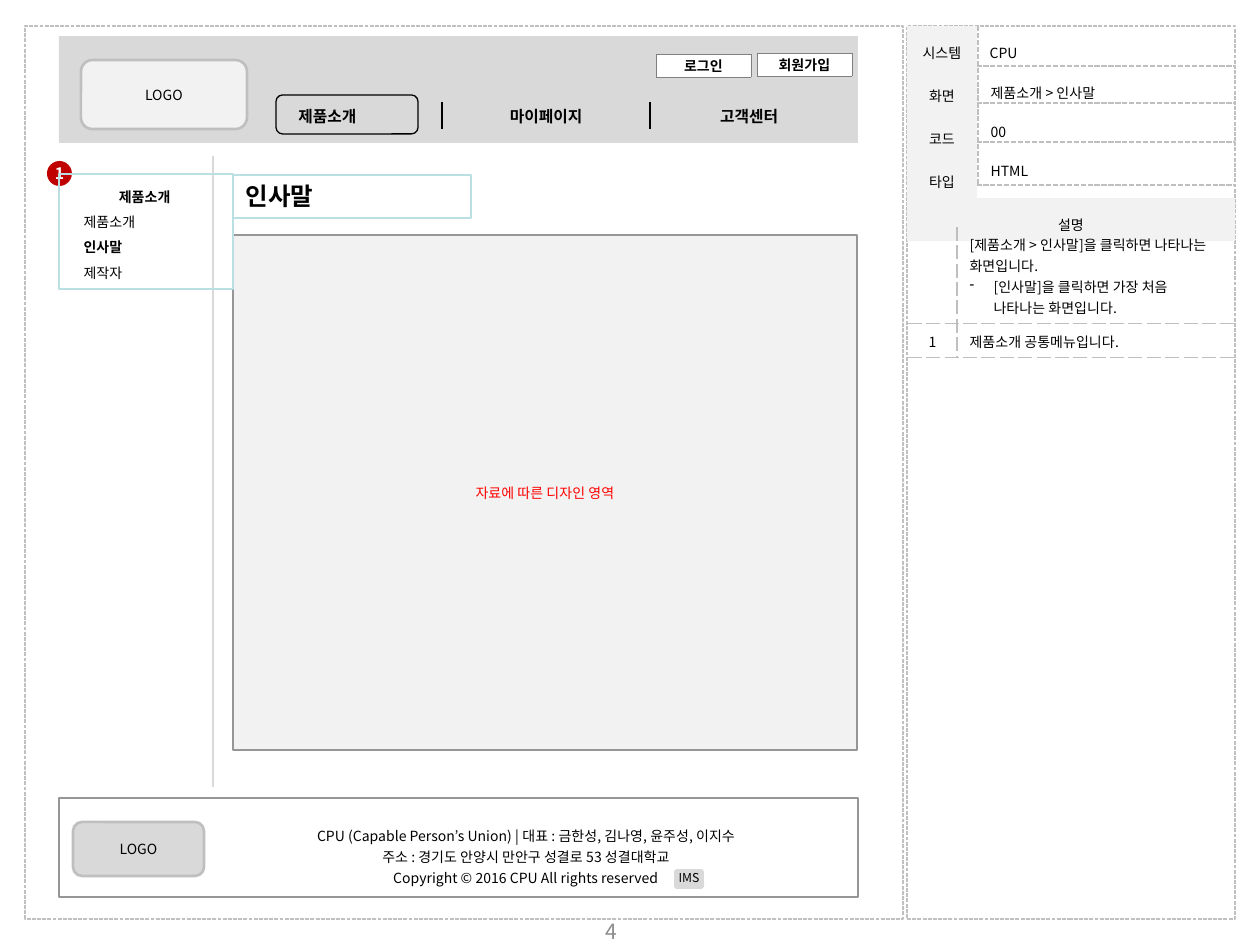
from dataclasses import dataclass
from lxml import etree
from pptx import Presentation
from pptx import util as u
from pptx.dml.color import RGBColor
from pptx.enum import dml, shapes, text
from pptx.oxml import ns

PX = 914400 / 126
PLAIN_TABLE = "{2D5ABB26-0587-4C30-8999-92F81FD0307C}"
CENTER, LEFT = text.PP_ALIGN.CENTER, text.PP_ALIGN.LEFT
TOP, MIDDLE = text.MSO_ANCHOR.TOP, text.MSO_ANCHOR.MIDDLE
DASH = dml.MSO_LINE.SQUARE_DOT
RECT, ROUND = shapes.MSO_SHAPE.RECTANGLE, shapes.MSO_SHAPE.ROUNDED_RECTANGLE


@dataclass(frozen=True)
class Theme:
    font: str = "Noto Sans CJK KR"
    ink: str = "000000"
    white: str = "FFFFFF"
    bar: str = "D9D9D9"
    pale: str = "F2F2F2"
    rule: str = "BFBFBF"
    frame: str = "C0C0C0"
    outline: str = "969696"
    button: str = "808080"
    accent: str = "BBE0E3"
    alert: str = "FF0000"
    badge: str = "C00000"
    page: str = "8C8C8C"
    tiny: int = 7
    small: int = 8
    nav: int = 9
    number: int = 12
    title: int = 14


T = Theme()


def px(n):
    return u.Emu(round(n * PX))


def box(*lengths):
    return [px(n) for n in lengths]


def sub(parent, tag, **attrs):
    return etree.SubElement(parent, ns.qn(tag), attrs)


# Text
def style(p, size=T.small, color=T.ink, bold=False, align=LEFT, spacing=None, indent=0, bullet=None):
    pPr = p._p.get_or_add_pPr()
    if indent:
        pPr.set("marL", str(px(indent)))
    pPr.set("indent", str(-px(indent) if bullet else 0))
    p.alignment = align
    p.space_before = u.Pt(0)
    if spacing:
        p.line_spacing = spacing
    if bullet:
        sub(pPr, "a:buChar", char=bullet)
    else:
        sub(pPr, "a:buNone")
    f = p.font
    f.name, f.size, f.bold = T.font, u.Pt(size), bold
    f.color.rgb = RGBColor.from_string(color)
    sub(pPr.find(ns.qn("a:defRPr")), "a:ea", typeface=T.font)


def write(tf, lines, **common):
    """Each line is a string, or a string with its own paragraph options."""
    for i, line in enumerate([lines] if isinstance(lines, str) else lines):
        words, own = (line, {}) if isinstance(line, str) else line
        p = tf.paragraphs[0] if i == 0 else tf.add_paragraph()
        p.text = words
        style(p, **{**common, **own})


# Shapes and lines
def paint(sp, fill=None, line=None, width=0.75, dash=None):
    if fill:
        sp.fill.solid()
        sp.fill.fore_color.rgb = RGBColor.from_string(fill)
    else:
        sp.fill.background()
    if line:
        sp.line.color.rgb = RGBColor.from_string(line)
        sp.line.width = u.Pt(width)
        if dash:
            sp.line.dash_style = dash
    else:
        sp.line.fill.background()


def shape(s, kind, at, words=None, inset=None, anchor=MIDDLE, look=None, **paints):
    sp = s.shapes.add_shape(kind, *box(*at))
    sp.shadow.inherit = False
    paint(sp, **paints)
    if words:
        tf = sp.text_frame
        tf.word_wrap, tf.vertical_anchor = True, anchor
        if inset is not None:
            tf.margin_left = tf.margin_right = tf.margin_top = tf.margin_bottom = px(inset)
        write(tf, words, **{"align": CENTER, **(look or {})})


def logo(s, at, fill):
    shape(s, ROUND, at, "LOGO", fill=fill, line=T.rule, width=1.5)


def rule(s, ends, color=T.rule, width=1, dash=DASH):
    ln = s.shapes.add_connector(shapes.MSO_CONNECTOR.STRAIGHT, *box(*ends))
    ln.line.color.rgb = RGBColor.from_string(color)
    ln.line.width = u.Pt(width)
    if dash:
        ln.line.dash_style = dash
    sub(ln._element.spPr, "a:effectLst")


def textbox(s, at, lines, **look):
    tf = s.shapes.add_textbox(*box(*at)).text_frame
    tf.word_wrap, tf.vertical_anchor = True, MIDDLE
    write(tf, lines, align=CENTER, **look)


def placeholder(s, sp, at, lines, **look):
    sp.left, sp.top, sp.width, sp.height = box(*at)
    paint(sp, line=T.accent)
    tf = sp.text_frame
    tf.word_wrap, tf.auto_size, tf.vertical_anchor = True, text.MSO_AUTO_SIZE.NONE, TOP
    write(tf, lines, **look)
    s.shapes._spTree.append(sp._element)  # bring to the front


# Tables
def table(s, left, top, cols, rows):
    frame = s.shapes.add_table(len(rows), len(cols), *box(left, top, sum(cols), sum(rows)))
    tbl = frame.table
    tbl.first_row = tbl.horz_banding = False
    tbl._tbl.tblPr.find(ns.qn("a:tableStyleId")).text = PLAIN_TABLE
    for tracks, sizes, name in ((tbl.columns, cols, "width"), (tbl.rows, rows, "height")):
        for track, size in zip(tracks, sizes):
            setattr(track, name, px(size))
    return tbl


def cell(c, lines="", fill=None, anchor=TOP, flat=False, sides="", edge=(T.rule, 0.75, "sysDash"), **look):
    color, width, dash = edge
    for side in sides:
        ln = sub(c._tc.get_or_add_tcPr(), f"a:ln{side}", w=str(u.Pt(width)))
        sub(sub(ln, "a:solidFill"), "a:srgbClr", val=color)
        sub(ln, "a:prstDash", val=dash)
    if fill:
        c.fill.solid()
        c.fill.fore_color.rgb = RGBColor.from_string(fill)
    else:
        c.fill.background()
    c.vertical_anchor = anchor
    if flat:
        c.margin_top = c.margin_bottom = 0
    write(c.text_frame, lines, **look)


def button(s, left, top, words):
    cell(table(s, left, top, [95], [23]).cell(0, 0), words, T.white, MIDDLE, True,
         "LRTB", (T.button, 0.5, "solid"), bold=True, align=CENTER)


def main():
    prs = Presentation()
    prs.slide_width, prs.slide_height = box(1260, 945)
    s = prs.slides.add_slide(prs.slide_layouts[1])
    title, menu = s.placeholders

    # Page frames and ruled lines
    for left, width in ((25, 878), (907, 328)):
        shape(s, RECT, (left, 26, width, 893), line=T.frame, dash=DASH)
    for y in (66, 103, 142, 185, 224):
        rule(s, (907, y, 1235, y))
    rule(s, (978, 26, 978, 185))
    rule(s, (213, 787, 213, 156), T.bar, 0.75, None)

    # Header and footer of the screen
    shape(s, RECT, (59, 36, 799, 107), fill=T.bar)
    logo(s, (73, 822, 131, 54), T.bar)
    shape(s, RECT, (59, 798, 799, 99), line=T.outline)
    logo(s, (81, 60, 166, 69), T.pale)
    shape(s, ROUND, (674, 869, 30, 20), "IMS", 0, TOP, {"size": T.tiny}, fill=T.bar)
    textbox(s, (202, 818, 648, 74),
            ["CPU (Capable Person’s Union) | 대표 : 금한성, 김나영, 윤주성, 이지수",
             "주소 : 경기도 안양시 만안구 성결로 53 성결대학교",
             "Copyright © 2016 CPU All rights reserved"], spacing=u.Pt(12))
    button(s, 656, 54, "로그인")
    button(s, 757, 53, "회원가입")

    # Navigation
    nav = table(s, 253, 102, [189, 208, 198], [27])
    for i, words in enumerate(("제품소개", "마이페이지", "고객센터")):
        cell(nav.cell(0, i), words, anchor=MIDDLE, flat=True, sides=("R", "LR", "L")[i],
             edge=(T.ink, 1, "solid"), size=T.nav, bold=True, align=CENTER)
    nav.cell(0, 0).margin_right = px(53)

    # Screen facts
    facts = table(s, 907, 26, [70, 258], [43] * 5)
    facts.cell(4, 0).merge(facts.cell(4, 1))
    for i, words in enumerate(("시스템", "화면", "코드", "타입", "설명")):
        cell(facts.cell(i, 0), words, T.pale, align=CENTER, spacing=1.5)
        cell(facts.cell(i, 1), "" if i else "CPU", spacing=1.5)
    values = table(s, 978, 66, [258], [39] * 3)
    for i, words in enumerate(("제품소개 > 인사말", "00", "HTML")):
        cell(values.cell(i, 0), words, spacing=1.5)

    # Description
    notes = table(s, 908, 227, [49, 278], [96, 34])
    intro = ["[제품소개 > 인사말]을 클릭하면 나타나는 화면입니다.",
             ("[인사말]을 클릭하면 가장 처음 나타나는 화면입니다.", {"indent": 24, "bullet": "-"})]
    for i, (key, lines, anchor) in enumerate((("", intro, TOP), ("1", "제품소개 공통메뉴입니다.", MIDDLE))):
        cell(notes.cell(i, 0), key, anchor=anchor, sides="RB", align=CENTER, spacing=u.Pt(12))
        cell(notes.cell(i, 1), lines, anchor=anchor, sides="LB", spacing=u.Pt(12))

    # Content area, title and side menu
    textbox(s, (464, 906, 294, 50), "4", size=T.number, color=T.page)
    shape(s, RECT, (233, 235, 624, 515), "자료에 따른 디자인 영역", look={"color": T.alert},
          fill=T.pale, line=T.outline)
    placeholder(s, title, (233, 175, 238, 43), "인사말", size=T.title, bold=True)
    shape(s, shapes.MSO_SHAPE.OVAL, (47, 161, 25, 25), "1", 1,
          look={"size": T.nav, "color": T.white, "bold": True}, fill=T.badge)
    shape(s, ROUND, (276, 95, 142, 39), line=T.ink)
    placeholder(s, menu, (59, 174, 174, 115),
                [("제품소개", {"bold": True}), ("제품소개", {"indent": 12}),
                 ("인사말", {"indent": 12, "bold": True}), ("제작자", {"indent": 12})], spacing=1.5)
    prs.save("out.pptx")


if __name__ == "__main__":
    main()
